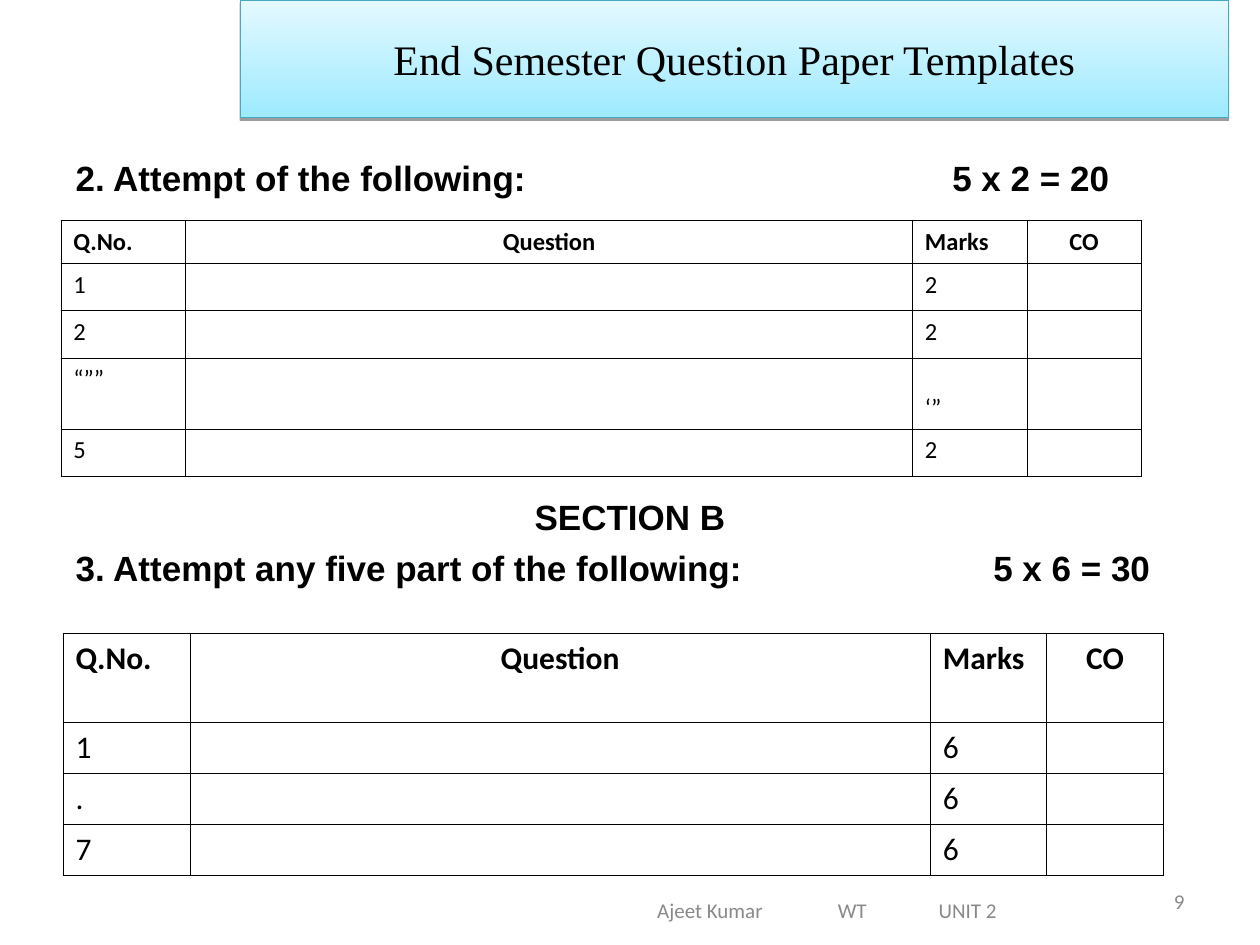
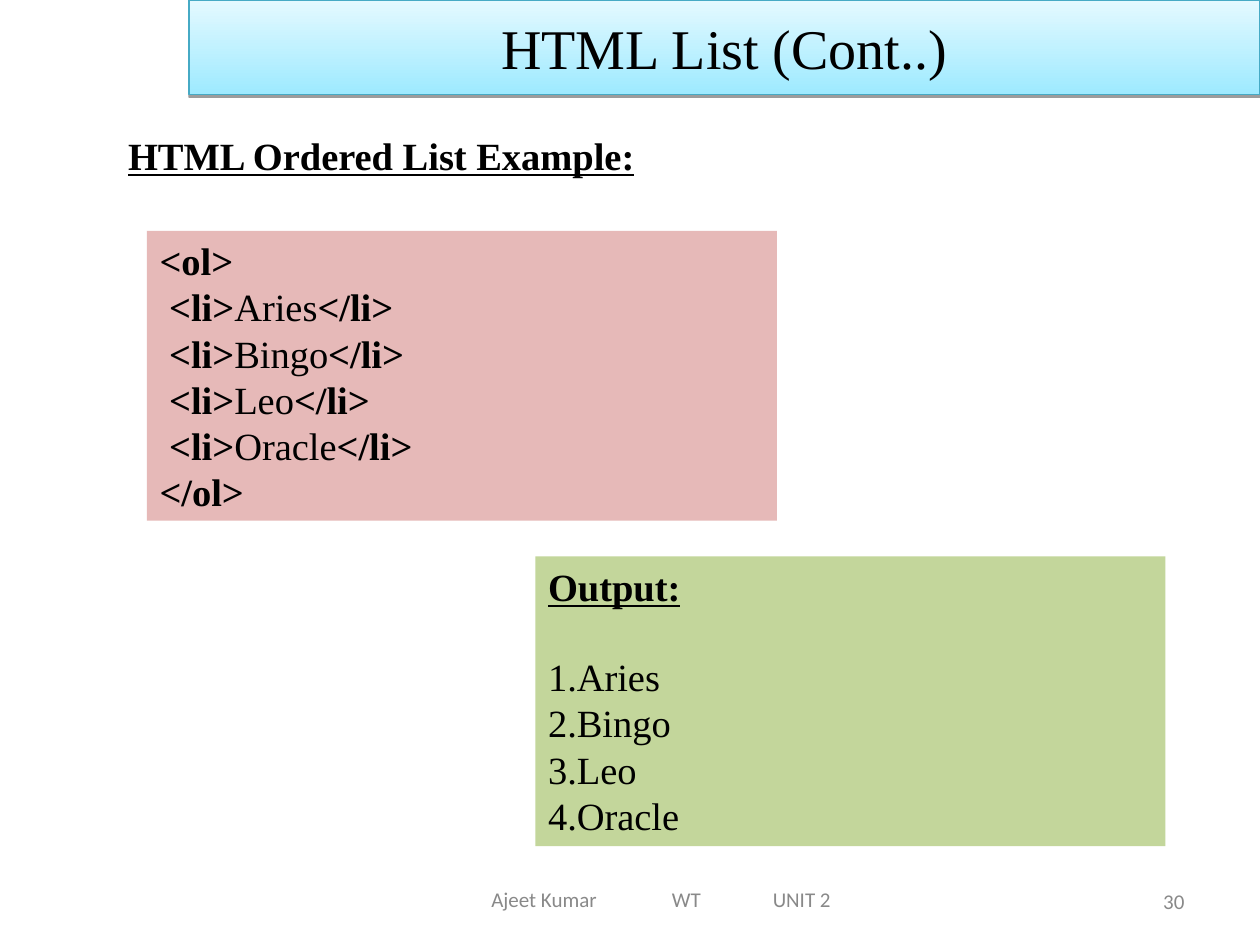
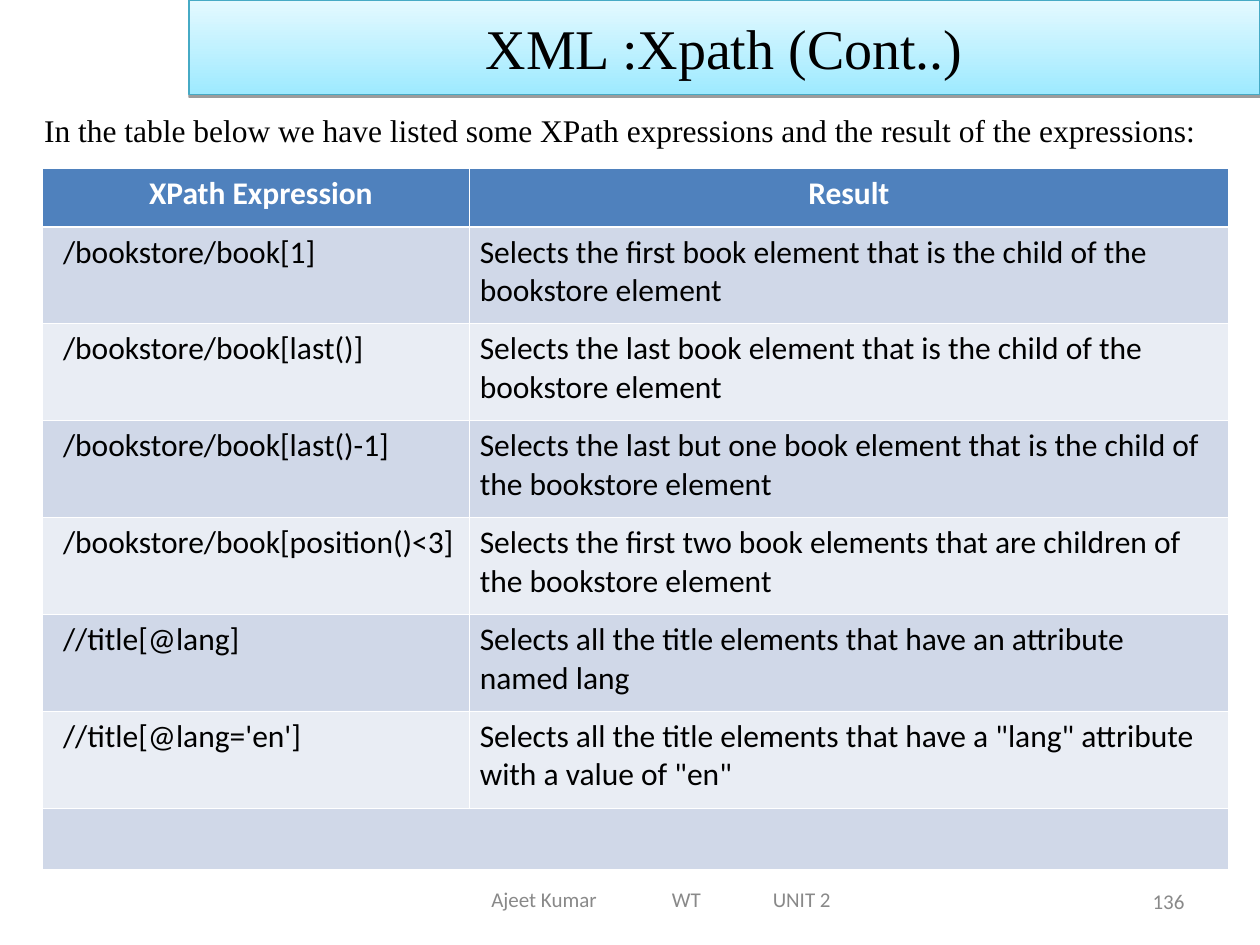
from lxml import etree
from pptx import Presentation
from pptx import util as u
from pptx.dml.color import RGBColor
from pptx.enum import shapes, text
from pptx.oxml import ns

BLACK = RGBColor(0x00, 0x00, 0x00)
WHITE = RGBColor(0xFF, 0xFF, 0xFF)
GREY = RGBColor(0x89, 0x89, 0x89)
BAND_DEEP = RGBColor(0x9E, 0xEA, 0xFF)
BAND_PALE = RGBColor(0xE4, 0xF9, 0xFF)
BAND_LINE = RGBColor(0x46, 0xAA, 0xC5)
CODE_PINK = RGBColor(0xE6, 0xB9, 0xB8)
OUTPUT_GREEN = RGBColor(0xC3, 0xD6, 0x9B)
HEADER_BLUE = RGBColor(0x4F, 0x81, 0xBD)
STRIPES = (RGBColor(0xD0, 0xD8, 0xE8), RGBColor(0xE9, 0xED, 0xF4))

SERIF, SANS, BODY = "Times New Roman", "Arial", "Calibri"
LEFT, CENTER, RIGHT = text.PP_ALIGN.LEFT, text.PP_ALIGN.CENTER, text.PP_ALIGN.RIGHT
TOP, MIDDLE, BOTTOM = text.MSO_ANCHOR.TOP, text.MSO_ANCHOR.MIDDLE, text.MSO_ANCHOR.BOTTOM


def grid(units):
    """The slide is 120 columns by 90 rows of a twelfth of an inch."""
    return u.Inches(units / 12)


def add_xml(parent, tag, **attributes):
    return etree.SubElement(parent, ns.qn(tag), attributes)


class Deck:
    def __init__(self):
        self.prs = Presentation()
        self.prs.slide_width, self.prs.slide_height = grid(120), grid(90)

    def new_slide(self):
        self.slide = self.prs.slides.add_slide(self.prs.slide_layouts[6])

    def set_text(self, paragraph, content, size, font, color=BLACK, bold=False,
                 underline=False, align=LEFT, before=0, tabs=(), numbered=False):
        """Fill a paragraph with a string or with (string, bold) pieces."""
        props = paragraph._p.get_or_add_pPr()
        if numbered:
            props.set("marL", "0")
            props.set("indent", "0")
            add_xml(add_xml(props, "a:buClr"), "a:srgbClr", val=str(color))
            add_xml(props, "a:buFont", typeface=font)
            add_xml(props, "a:buAutoNum", type="arabicPeriod")
        if tabs:
            stops = add_xml(props, "a:tabLst")
            for stop in tabs:
                add_xml(stops, "a:tab", pos=str(grid(stop)), algn="l")
        paragraph.alignment = align
        if before:
            paragraph.space_before = u.Pt(before)
        style = paragraph.font
        style.size, style.name, style.color.rgb = u.Pt(size), font, color
        style.underline = underline
        if isinstance(content, str):
            style.bold = bold
            if content:
                paragraph.add_run().text = content
            else:
                add_xml(paragraph._p, "a:endParaRPr", sz=str(size * 100))
        else:
            for piece, piece_bold in content:
                run = paragraph.add_run()
                run.text, run.font.bold = piece, piece_bold

    def frame(self, shape, lines, anchor=TOP, inset=1.2, **style):
        """Set lines, each a content or a (content, own style) pair."""
        body = shape.text_frame
        body.word_wrap, body.vertical_anchor = True, anchor
        body.margin_left, body.margin_right = grid(inset), grid(1.2)
        body.margin_top = body.margin_bottom = grid(0.6)
        for i, line in enumerate(lines):
            content, own = line if isinstance(line, tuple) else (line, {})
            paragraph = body.add_paragraph() if i else body.paragraphs[0]
            self.set_text(paragraph, content, **{**style, **own})

    def label(self, place, lines, **style):
        box = self.slide.shapes.add_textbox(*map(grid, place))
        self.frame(box, lines, **style)

    def rectangle(self, place):
        box = self.slide.shapes.add_shape(shapes.MSO_SHAPE.RECTANGLE, *map(grid, place))
        box.shadow.inherit = False
        return box

    def panel(self, place, fill, lines, **style):
        box = self.rectangle(place)
        box.fill.solid()
        box.fill.fore_color.rgb = fill
        box.line.fill.background()
        self.frame(box, lines, **style)

    def title(self, words, place=(18, 0, 102, 9), size=32):
        band = self.rectangle(place)
        band.fill.gradient()
        band.fill.gradient_angle = 90
        for stop, color, position in zip(band.fill.gradient_stops,
                                         (BAND_DEEP, BAND_PALE), (0, 1)):
            stop.color.rgb, stop.position = color, position
        band.line.color.rgb, band.line.width = BAND_LINE, u.Pt(0.75)
        effects = band._element.spPr.find(ns.qn("a:effectLst"))
        shadow = add_xml(effects, "a:outerShdw", blurRad="0", dist=str(u.Pt(1.6)),
                         dir="5400000", rotWithShape="0")
        add_xml(add_xml(shadow, "a:srgbClr", val="000000"), "a:alpha", val="38000")
        self.frame(band, [words], anchor=MIDDLE, size=size, font=SERIF, align=CENTER)

    def footer(self, number, place=(30, 83.2, 66, 4.8), inset=16.8):
        small = dict(anchor=MIDDLE, size=12, font=BODY, color=GREY)
        self.label(place, ["Ajeet Kumar\tWT\tUNIT 2"], inset=inset,
                   tabs=(17.2, 26.8), **small)
        self.label((86, 83.4, 28, 4.8), [str(number)], align=RIGHT, **small)

    def table(self, left, top, columns, heights, rows):
        """Add a table and yield it with each cell and its content."""
        box = self.slide.shapes.add_table(len(heights), len(columns), grid(left), grid(top),
                                          grid(sum(columns)), grid(sum(heights)))
        table = box.table
        table.first_row = table.horz_banding = False
        for column, width in zip(table.columns, columns):
            column.width = grid(width)
        for row, height, words in zip(table.rows, heights, rows):
            row.height = grid(height)
            for cell, content in zip(row.cells, words):
                yield table, cell, content

    def cell(self, cell, content, fill, border, heavy=(), anchor=TOP,
             insets=(1.2, 1.2), **style):
        cell.margin_left, cell.margin_right = map(grid, insets)
        cell.vertical_anchor = anchor
        props = cell._tc.get_or_add_tcPr()
        for side in "LRTB":
            width = 1.47 if side in heavy else 0.45
            line = add_xml(props, f"a:ln{side}", w=str(u.Pt(width)))
            add_xml(add_xml(line, "a:solidFill"), "a:srgbClr", val=str(border))
        cell.fill.solid()
        cell.fill.fore_color.rgb = fill
        self.set_text(cell.text_frame.paragraphs[0], content, font=BODY, **style)

    def question_table(self, left, top, columns, heights, entries, size):
        rows = [("Q.No.", "Question", "Marks", "CO")]
        rows += [(number, "", marks, "") for number, marks in entries]
        cells = self.table(left, top, columns, heights, rows)
        for i, (_, cell, content) in enumerate(cells):
            self.cell(cell, content, WHITE, BLACK, size=size, bold=i < 4,
                      align=CENTER if content in ("Question", "CO") else LEFT,
                      anchor=BOTTOM if content == "‘”" else TOP)

    def result_table(self, left, top, columns, heights, rows):
        for i, (table, cell, content) in enumerate(
                self.table(left, top, columns, heights, rows)):
            row, column = divmod(i, len(columns))
            header = row == 0
            self.cell(cell, content, HEADER_BLUE if header else STRIPES[(row - 1) % 2],
                      WHITE, heavy={0: "B", 1: "T"}.get(row, ""),
                      insets=(1 if column else 2, 1), size=18, bold=header,
                      color=WHITE if header else BLACK,
                      align=CENTER if header else LEFT)
        last = len(heights) - 1
        table.cell(last, 0).merge(table.cell(last, len(columns) - 1))


def question_paper(deck):
    deck.new_slide()
    deck.title("End Semester Question Paper Templates", (22.9, 0, 94.1, 11.2), 24)
    # Question headings around the first table
    deck.label((6, 14.3, 108, 62.1), [
        ("2. Attempt of the following:\t5 x 2 = 20", dict(tabs=[83.5])),
        ("SECTION B", dict(align=CENTER, before=170)),
        ("3. Attempt any five part of the following:\t5 x 6 = 30",
         dict(tabs=[87.4], before=5)),
    ], size=20, font=SANS, bold=True)
    # Marks tables
    deck.question_table(5.8, 21, (11.9, 69.2, 10.9, 10.9), (4.1, 4.5, 4.5, 6.8, 4.5),
                        [("1", "2"), ("2", "2"), ("“””", "‘”"), ("5", "2")], 14)
    deck.question_table(6, 60.3, (12.1, 70.5, 11.1, 11.1), (8.5, 4.86, 4.86, 4.86),
                        [("1", "6"), (".", "6"), ("7", "6")], 18)
    deck.footer(9, (41, 83.4, 55.2, 6.6), inset=21.6)


def html_list(deck):
    deck.new_slide()
    deck.title("HTML List (Cont..)")
    look = dict(size=22, font=SERIF)
    heading = dict(bold=True, underline=True)
    deck.label((11, 12, 100, 5.6), ["HTML Ordered List Example:"], **look, **heading)
    # Code and its output
    items = ["Aries", "Bingo", "Leo", "Oracle"]
    code = [[(" <li>", True), (item, False), ("</li>", True)] for item in items]
    deck.panel((14, 22, 60, 27.6), CODE_PINK,
               [[("<ol>", True)], *code, [("</ol>", True)]], **look)
    output = [(item, dict(numbered=True, before=0 if i else 25.3))
              for i, item in enumerate(items)]
    deck.panel((51, 53, 60, 27.6), OUTPUT_GREEN, [("Output:", heading), *output], **look)
    deck.footer(30)


def xpath(deck):
    deck.new_slide()
    deck.title("XML :Xpath (Cont..)")
    deck.label((3, 10, 114, 4.8),
               ["In the table below we have listed some XPath expressions "
                "and the result of the expressions:"], size=18, font=SERIF)
    # Expressions and what they select
    deck.result_table(4, 16, (40.7, 72.3), (5.6, *[9.23] * 6, 5.8), [
        ("XPath Expression", "Result"),
        ("/bookstore/book[1]",
         "Selects the first book element that is the child of the bookstore element"),
        ("/bookstore/book[last()]",
         "Selects the last book element that is the child of the bookstore element"),
        ("/bookstore/book[last()-1]",
         "Selects the last but one book element that is the child of the bookstore element"),
        ("/bookstore/book[position()<3]",
         "Selects the first two book elements that are children of the bookstore element"),
        ("//title[@lang]",
         "Selects all the title elements that have an attribute named lang"),
        ("//title[@lang='en']",
         "Selects all the title elements that have a \"lang\" attribute "
         "with a value of \"en\""),
        ("", ""),
    ])
    deck.footer(136)


def main():
    deck = Deck()
    for build in (question_paper, html_list, xpath):
        build(deck)
    deck.prs.save("out.pptx")


if __name__ == "__main__":
    main()
